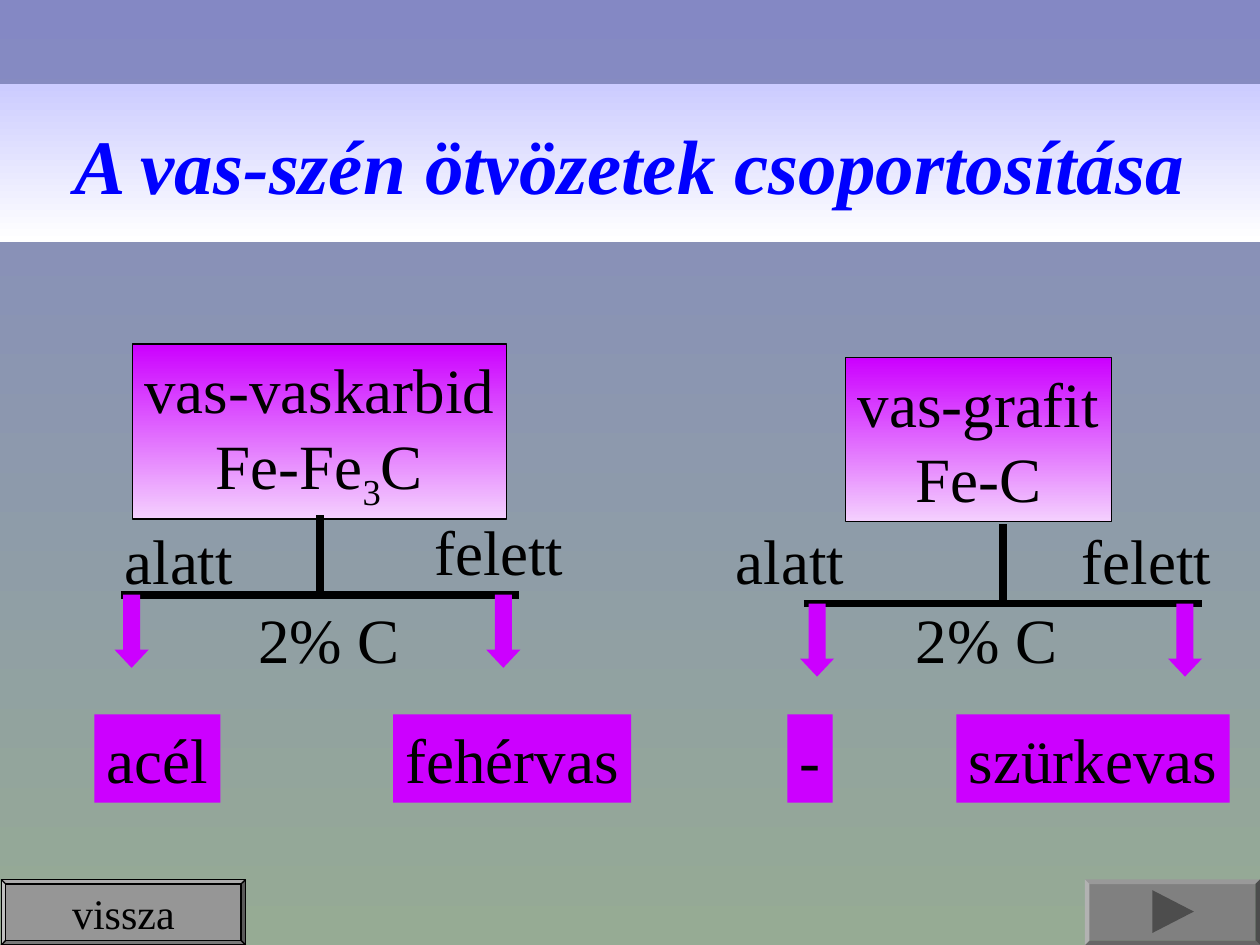
"""Build a slide that groups the iron-carbon alloys."""
from lxml.etree import SubElement
from pptx import Presentation
from pptx.dml.color import RGBColor as RGB
from pptx.enum.shapes import MSO_CONNECTOR as CONN, MSO_SHAPE as SHP
from pptx.enum.text import MSO_ANCHOR as ANC, MSO_AUTO_SIZE as AUTO, PP_ALIGN as AL
from pptx.oxml.ns import qn
from pptx.util import Inches, Pt

W, H = 10, 7.5
THEME = dict(font="Times New Roman", ink="000000", title="0000FF", accent="CC00FF",
             page=("8488C4", "96AB94"), band=("CCCCFF", "FFFFFF"),
             head=("CC00FF", "F4D0FE"), back="969696", next="808080", mark="4D4D4D",
             title_pt=44, body_pt=36, button_pt=24, rule_pt=4.5, edge_pt=0.75)

TITLE = "A vas-szén ötvözetek csoportosítása"
TREES = [
    dict(mid=2.54, bar=4.72,
         head=(["vas-vaskarbid", ("Fe-Fe", "3", "C")], 1.05, 2.73, 2.97, 1.39),
         labels=[("2% C", 1.95, 4.72, 1.32), ("felett", 3.35, 4.02, 1.22),
                 ("alatt", 0.89, 4.09, 1.06)],
         results=[("fehérvas", 3.12, 1.89), ("acél", 0.75, 1)], arrows=(3.86, 0.91)),
    dict(mid=7.96, bar=4.79,
         head=(["vas-grafit", "Fe-C"], 6.71, 2.84, 2.11, 1.3),
         labels=[("2% C", 7.17, 4.72, 1.32), ("alatt", 5.74, 4.09, 1.06),
                 ("felett", 8.49, 4.09, 1.22)],
         results=[("szürkevas", 7.59, 2.17), ("-", 6.25, 0.36)], arrows=(9.27, 6.35)),
]
ROW_H, RESULT_Y, STEM, HALF = 0.7, 5.67, 0.63, 1.58
ARROW_W, ARROW_H = 0.27, 0.58
BUTTON_H, BEVEL, INSET = 0.52, 0.07, Inches(0.05)


def style(obj, **values):
    for name, value in values.items():
        setattr(obj, name, value)


def paint(fill, colour):
    if isinstance(colour, tuple):
        fill.gradient()
        fill.gradient_angle = 270
        for stop, position, c in zip(fill.gradient_stops, (0, 1), colour):
            stop.position = position
            stop.color.rgb = RGB.from_string(c)
    else:
        fill.solid()
        fill.fore_color.rgb = RGB.from_string(colour)


def write(sp, lines, size="body_pt", colour="ink", wrap=False, **extra):
    tf = sp.text_frame
    style(tf, word_wrap=wrap, vertical_anchor=ANC.MIDDLE, auto_size=AUTO.NONE,
          margin_left=INSET, margin_right=INSET)
    for i, line in enumerate(lines):
        p = tf.add_paragraph() if i else tf.paragraphs[0]
        p.alignment = AL.CENTER
        for j, text in enumerate((line,) if isinstance(line, str) else line):
            r = p.add_run()
            r.text = text
            style(r.font, name=THEME["font"], size=Pt(THEME[size]), **extra)
            r.font.color.rgb = RGB.from_string(THEME[colour])
            if j == 1:
                r.font._element.set("baseline", "-25000")


def shape(s, kind, x, y, w, h, fill, edge=False):
    sp = s.shapes.add_shape(kind, *map(Inches, (x, y, w, h)))
    sp.shadow.inherit = False
    paint(sp.fill, THEME[fill])
    if edge:
        paint(sp.line.fill, THEME["ink"])
        sp.line.width = Pt(THEME["edge_pt"])
    else:
        sp.line.fill.background()
    return sp


def rule(s, x1, y1, x2, y2):
    c = s.shapes.add_connector(CONN.STRAIGHT, *map(Inches, (x1, y1, x2, y2)))
    paint(c.line.fill, THEME["ink"])
    c.line.width = Pt(THEME["rule_pt"])
    SubElement(c._element.spPr, qn("a:effectLst"))


def tree(s, mid, bar, head, labels, results, arrows):
    lines, *box = head
    write(shape(s, SHP.RECTANGLE, *box, "head", True), lines)
    for text, x, w in results:
        write(shape(s, SHP.RECTANGLE, x, RESULT_Y, w, ROW_H, "accent"), [text])
    for text, x, y, w in labels:
        write(s.shapes.add_textbox(*map(Inches, (x, y, w, ROW_H))), [text])
    rule(s, mid, bar - STEM, mid, bar)
    for start in (mid, mid - HALF):
        rule(s, start, bar, start + HALF, bar)
    for x in arrows:
        sp = shape(s, SHP.DOWN_ARROW, x, bar, ARROW_W, ARROW_H, "accent")
        sp.adjustments[0], sp.adjustments[1] = 0.5, 0.53


def button(s, x, w, fill, edge):
    sp = shape(s, SHP.BEVEL, x, H - BUTTON_H, w, BUTTON_H, fill, edge)
    sp.adjustments[0] = BEVEL
    return sp


def main():
    prs = Presentation()
    style(prs, slide_width=Inches(W), slide_height=Inches(H))
    s = prs.slides.add_slide(prs.slide_layouts[6])
    paint(s.background.fill, THEME["page"])
    band = shape(s, SHP.RECTANGLE, 0, 0.67, W, 1.25, "band")
    write(band, [TITLE], "title_pt", "title", True, bold=True, italic=True)
    for parts in TREES:
        tree(s, **parts)
    button(s, 8.61, 1.39, "next", False)
    mark = shape(s, SHP.ISOSCELES_TRIANGLE, 9.14, 7.07, 0.34, 0.33, "mark")
    mark.rotation = 90
    write(button(s, 0.01, 1.94, "back", True), ["vissza"], "button_pt")
    prs.save("out.pptx")


if __name__ == "__main__":
    main()
